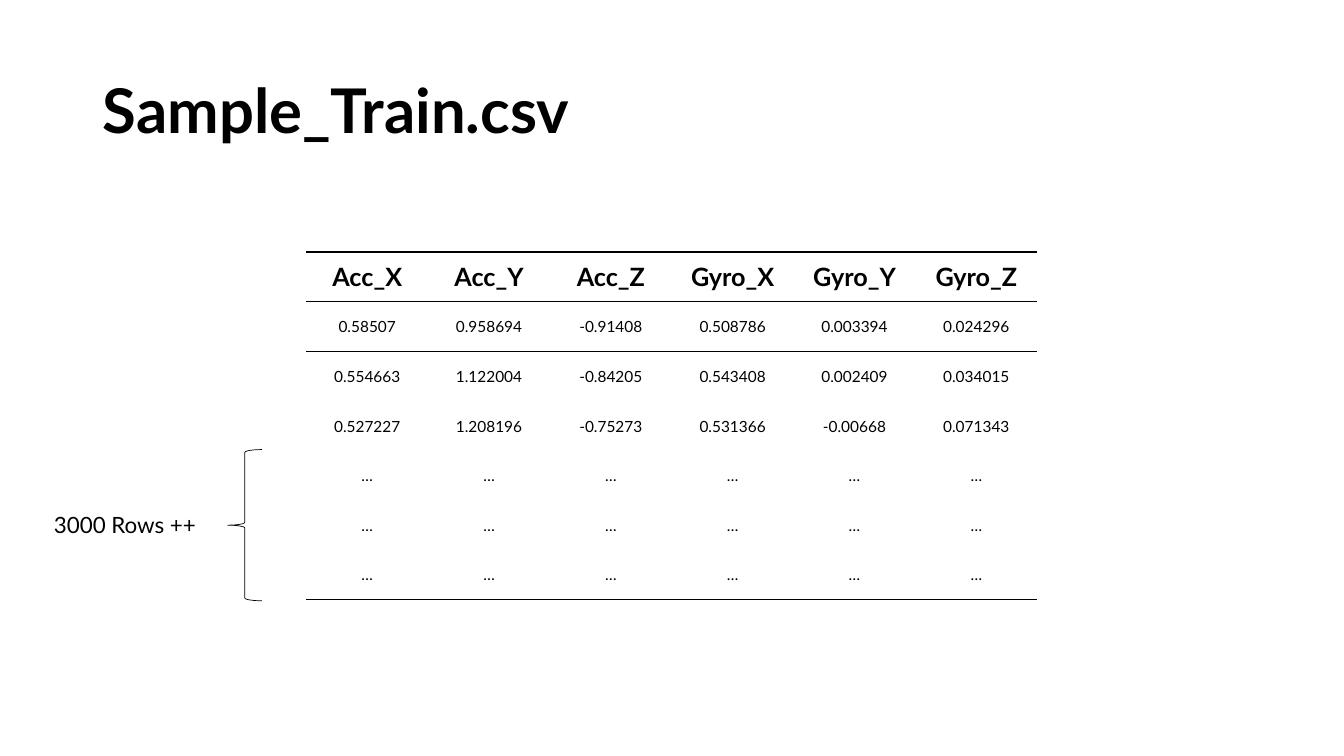
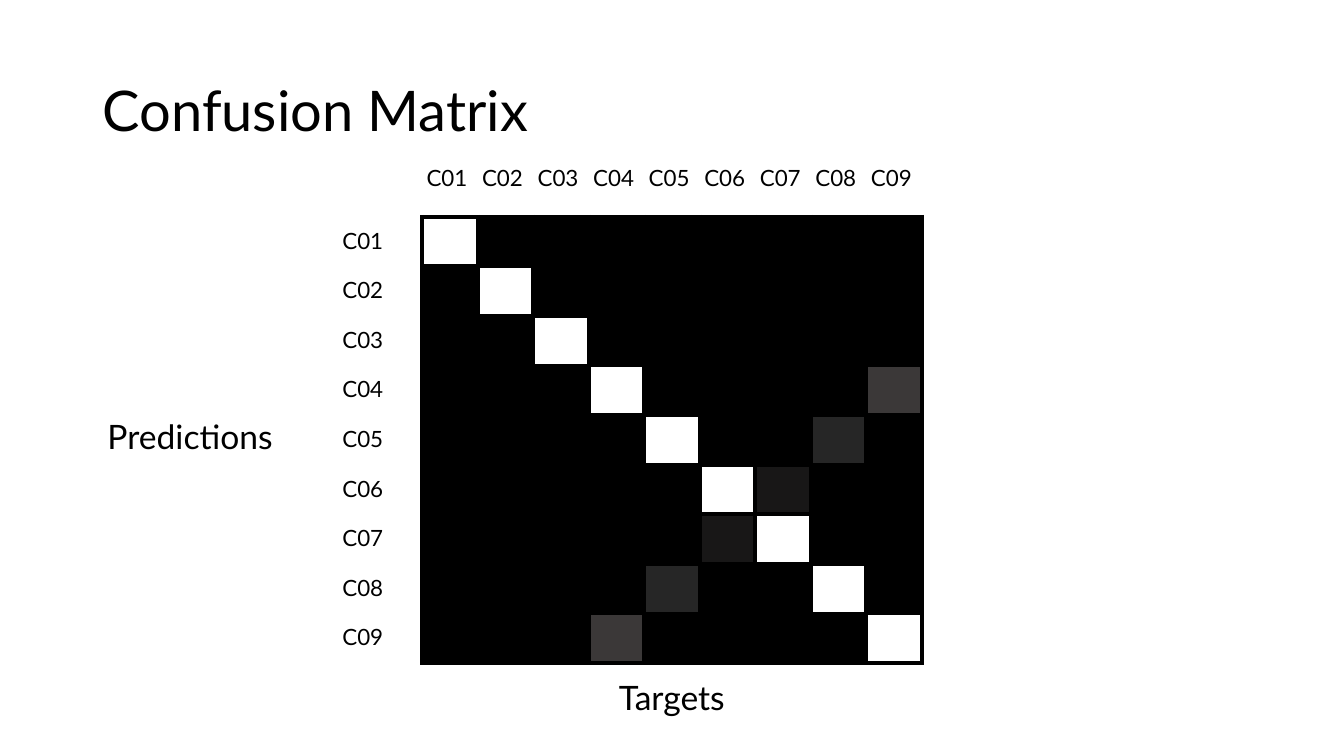
from lxml import etree
from pptx import Presentation
from pptx.dml.color import RGBColor
from pptx.enum.shapes import MSO_SHAPE
from pptx.enum.text import MSO_ANCHOR, MSO_AUTO_SIZE, PP_ALIGN
from pptx.oxml.ns import qn
from pptx.util import Cm, Pt

LEFT, CENTER = PP_ALIGN.LEFT, PP_ALIGN.CENTER
MIDDLE = MSO_ANCHOR.MIDDLE
NO_AUTOFIT = MSO_AUTO_SIZE.NONE
LEFT_BRACE = MSO_SHAPE.LEFT_BRACE

BLACK = RGBColor(0x00, 0x00, 0x00)
WHITE = RGBColor(0xFF, 0xFF, 0xFF)
# Greys of the confused class pairs, by the distance between the two classes
CONFUSION_GREYS = {
    1: RGBColor(0x18, 0x17, 0x17),
    3: RGBColor(0x26, 0x26, 0x26),
    5: RGBColor(0x3B, 0x38, 0x38),
}
FONT = "Lato"
NO_TABLE_STYLE = "{2D5ABB26-0587-4C30-8999-92F81FD0307C}"
TITLE_ONLY = 5
ROW_HEIGHT = 1.25

SENSOR_ROWS = [
    ["Acc_X", "Acc_Y", "Acc_Z", "Gyro_X", "Gyro_Y", "Gyro_Z"],
    ["0.58507", "0.958694", "-0.91408", "0.508786", "0.003394", "0.024296"],
    ["0.554663", "1.122004", "-0.84205", "0.543408", "0.002409", "0.034015"],
    ["0.527227", "1.208196", "-0.75273", "0.531366", "-0.00668", "0.071343"],
] + [["…"] * 6] * 3
CLASSES = [f"C{number:02}" for number in range(1, 10)]


def write(frame, text, size, align=LEFT, bold=False):
    """Put one styled paragraph into a text frame."""
    paragraph = frame.paragraphs[0]
    paragraph.text = text
    paragraph.alignment = align
    paragraph.font.name = FONT
    paragraph.font.size = Pt(size)
    paragraph.font.bold = bold
    paragraph.font.color.rgb = BLACK
    return paragraph


def add_grid(slide, rows, columns, left, top, column_width):
    """Add an unstyled table with equal rows and columns."""
    grid = slide.shapes.add_table(
        rows, columns, Cm(left), Cm(top),
        Cm(column_width * columns), Cm(ROW_HEIGHT * rows)).table
    properties = grid._tbl.tblPr
    properties.find(qn("a:tableStyleId")).text = NO_TABLE_STYLE
    grid.first_row = grid.horz_banding = False
    for column in grid.columns:
        column.width = Cm(column_width)
    for row in grid.rows:
        row.height = Cm(ROW_HEIGHT)
    return grid


prs = Presentation()
prs.slide_width, prs.slide_height = Cm(33.87), Cm(19.05)

# Slides and titles
slides = []
for heading, size, bold in [("Sample_Train.csv", 44, True),
                            ("Confusion Matrix", 40, False)]:
    slide = prs.slides.add_slide(prs.slide_layouts[TITLE_ONLY])
    title = slide.shapes.title
    title.left, title.top = Cm(2.34), Cm(1.02)
    title.width, title.height = Cm(29.21), Cm(3.68)
    title.text_frame.auto_size = NO_AUTOFIT
    title.text_frame.vertical_anchor = MIDDLE
    write(title.text_frame, heading, size, bold=bold).line_spacing = 0.9
    slides.append(slide)
sample_slide, matrix_slide = slides

# Sensor readings and confusion matrix
readings = add_grid(sample_slide, len(SENSOR_ROWS), 6, 7.72, 6.35, 3.07)
matrix = add_grid(matrix_slide, len(CLASSES), len(CLASSES), 10.64, 5.46, 1.4)

# Cell borders: rules around the header and at the foot, a full grid in the matrix
last_reading = len(SENSOR_ROWS) - 1
reading_edges = {0: ["lnT", "lnB"], 1: ["lnT"], last_reading: ["lnB"]}
matrix_edges = dict.fromkeys(range(len(CLASSES)), ["lnL", "lnR", "lnT", "lnB"])
for grid, edges_by_row, weight in [(readings, reading_edges, 1),
                                   (matrix, matrix_edges, 3)]:
    for row_index, edges in edges_by_row.items():
        for cell in grid.rows[row_index].cells:
            cell_properties = cell._tc.get_or_add_tcPr()
            for edge in edges:
                border = etree.SubElement(cell_properties, qn(f"a:{edge}"),
                                          w=str(Pt(weight)))
                fill = etree.SubElement(border, qn("a:solidFill"))
                etree.SubElement(fill, qn("a:srgbClr"), val=str(BLACK))

# Reading values
for row_index, values in enumerate(SENSOR_ROWS):
    is_header = row_index == 0
    for column_index, value in enumerate(values):
        cell = readings.cell(row_index, column_index)
        cell.fill.solid()
        cell.fill.fore_color.rgb = WHITE
        cell.vertical_anchor = MIDDLE
        if not is_header:
            cell.margin_left = cell.margin_right = cell.margin_top = Cm(0.03)
            cell.margin_bottom = 0
        write(cell.text_frame, value, 18 if is_header else 11, CENTER, is_header)

# Matrix shades: hits on the diagonal, mix-ups between mirrored classes
for row_index in range(len(CLASSES)):
    for column_index in range(len(CLASSES)):
        shade = BLACK
        if row_index == column_index:
            shade = WHITE
        elif row_index + column_index == 11:
            shade = CONFUSION_GREYS[abs(row_index - column_index)]
        cell = matrix.cell(row_index, column_index)
        cell.fill.solid()
        cell.fill.fore_color.rgb = shade

# Brace beside the remaining rows
brace = sample_slide.shapes.add_shape(
    LEFT_BRACE, Cm(5.74), Cm(11.33), Cm(0.86), Cm(3.81))
brace.shadow.inherit = False
brace.fill.background()
brace.line.color.rgb = BLACK
brace.line.width = Pt(0.5)

# Captions: slide, text, left, top, width, size, alignment
captions = [
    (sample_slide, "3000 Rows ++", 0.6, 12.75, 5.1, 16, CENTER),
    (matrix_slide, "Predictions", 2.46, 10.36, 5.2, 24, LEFT),
    (matrix_slide, "Targets", 14.33, 16.94, 5.2, 24, CENTER),
]
for index, name in enumerate(CLASSES):
    captions += [
        (matrix_slide, name, 8.38, 5.59 + ROW_HEIGHT * index, 2.1, 16, LEFT),
        (matrix_slide, name, 10.5 + 1.4 * index, 4, 2.1, 16, LEFT),
    ]
for slide, text, left, top, width, size, align in captions:
    caption = slide.shapes.add_textbox(
        Cm(left), Cm(top), Cm(width), Cm(1.28 if size == 24 else 0.94))
    caption.text_frame.word_wrap = True
    write(caption.text_frame, text, size, align)

prs.save("out.pptx")
